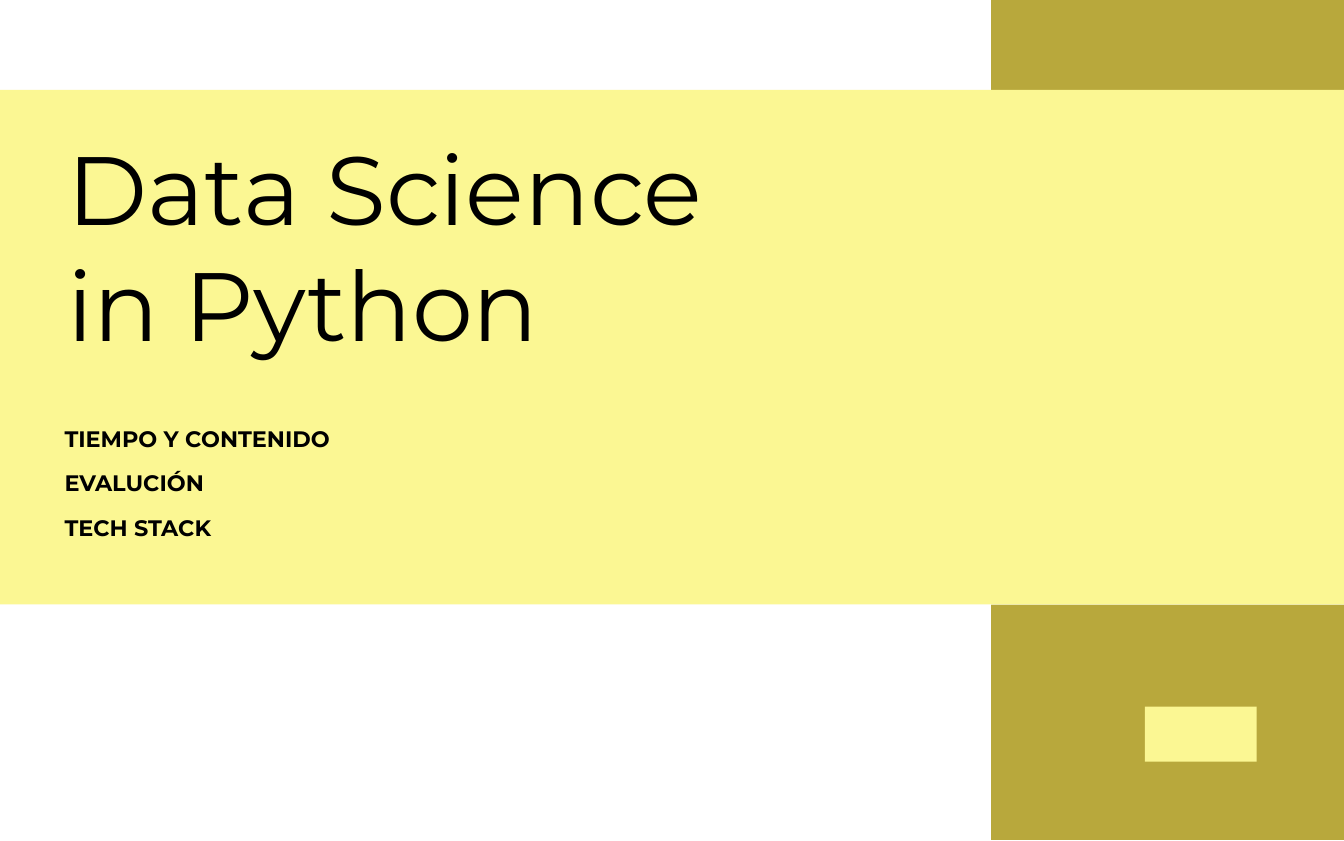
from dataclasses import dataclass

from pptx import Presentation
from pptx.dml.color import RGBColor
from pptx.enum.shapes import MSO_SHAPE
from pptx.util import Cm, Pt

RECTANGLE = MSO_SHAPE.RECTANGLE
BLANK_LAYOUT = 6


@dataclass(frozen=True)
class Theme:
    font: str = "Montserrat"
    ink: str = "000000"
    band: str = "FBF793"
    accent: str = "B8A83C"
    title_size: float = 52
    topic_size: float = 12
    topic_gap: float = 9.6


class Cover:
    def __init__(self, slide, theme):
        self.slide = slide
        self.theme = theme

    def block(self, left, top, width, height, color):
        sp = self.slide.shapes.add_shape(
            RECTANGLE, Cm(left), Cm(top), Cm(width), Cm(height))
        sp.shadow.inherit = False
        sp.fill.solid()
        sp.fill.fore_color.rgb = RGBColor.from_string(color)
        sp.line.fill.background()

    def text(self, left, top, width, height, lines, size, bold=False, gap=0):
        """Add one paragraph per line, with gap points between them."""
        sp = self.slide.shapes.add_textbox(
            Cm(left), Cm(top), Cm(width), Cm(height))
        tf = sp.text_frame
        tf.word_wrap = True
        tf.margin_left = tf.margin_top = Cm(0.03)
        tf.margin_right = tf.margin_bottom = 0
        tf.text = "\n".join(lines)
        for i, p in enumerate(tf.paragraphs):
            p.space_before = Pt(gap if i else 0)
            for r in p.runs:
                r.font.name = self.theme.font
                r.font.size = Pt(size)
                r.font.bold = bold
                r.font.color.rgb = RGBColor.from_string(self.theme.ink)


def main():
    prs = Presentation()
    prs.slide_width, prs.slide_height = Cm(25.4), Cm(15.9)
    slide = prs.slides.add_slide(prs.slide_layouts[BLANK_LAYOUT])
    theme = Theme()
    cover = Cover(slide, theme)

    width, column_left = 25.4, 18.73
    band_top, band_bottom, column_bottom = 1.7, 11.43, 15.88
    for top, bottom in ((0, band_top), (band_bottom, column_bottom)):
        cover.block(column_left, top, width - column_left, bottom - top,
                    theme.accent)
    cover.block(0, band_top, width, band_bottom - band_top, theme.band)

    cover.text(1.24, 2.4, 12.85, 4.45, ["Data Science in Python"],
               theme.title_size)
    cover.text(1.19, 8, 10.72, 2.24,
               ["TIEMPO Y CONTENIDO", "EVALUCIÓN", "TECH STACK"],
               theme.topic_size, bold=True, gap=theme.topic_gap)

    # Plain block that holds the place of the school's mark
    cover.block(21.64, 13.36, 2.11, 1.04, theme.band)

    prs.save("out.pptx")


if __name__ == "__main__":
    main()
